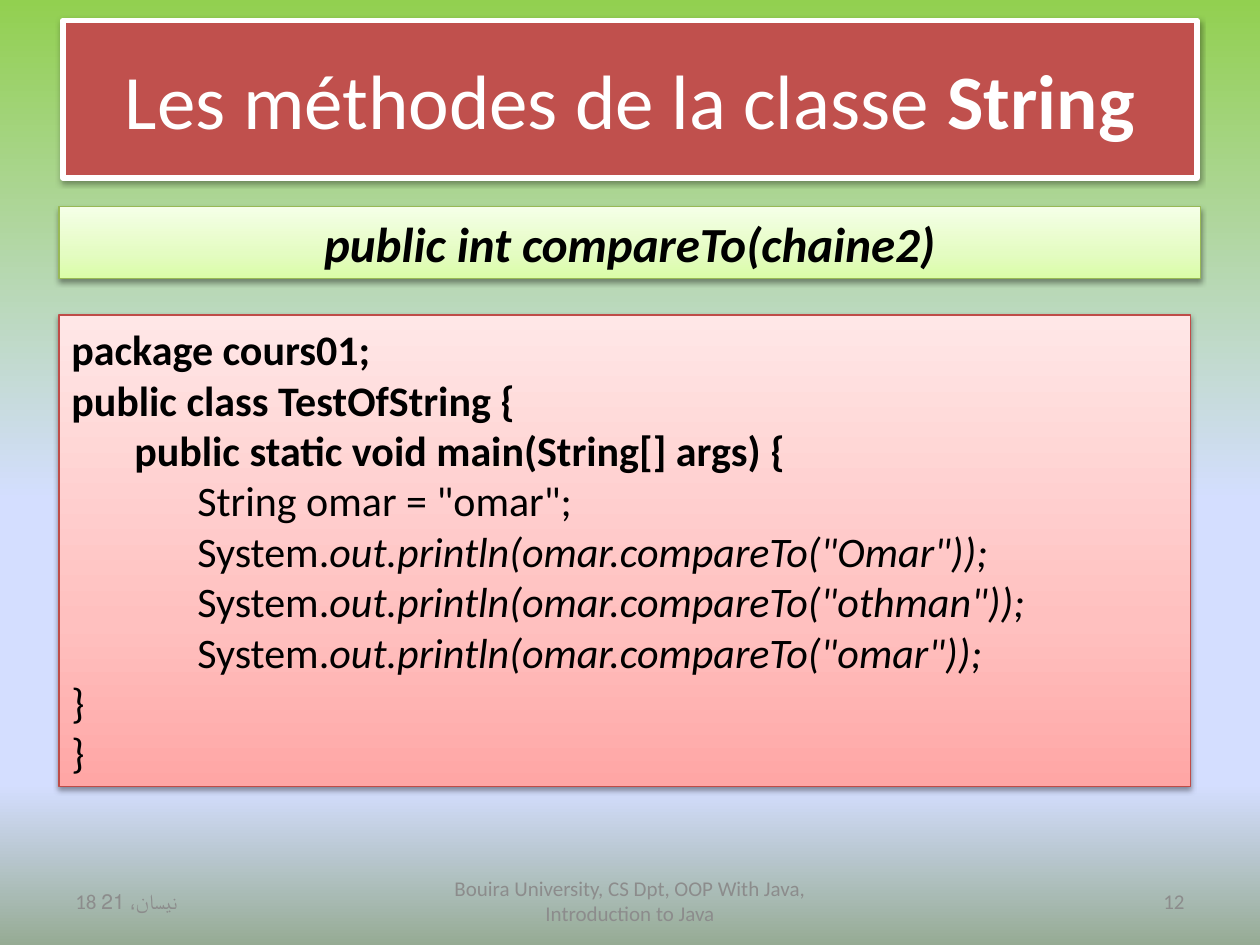
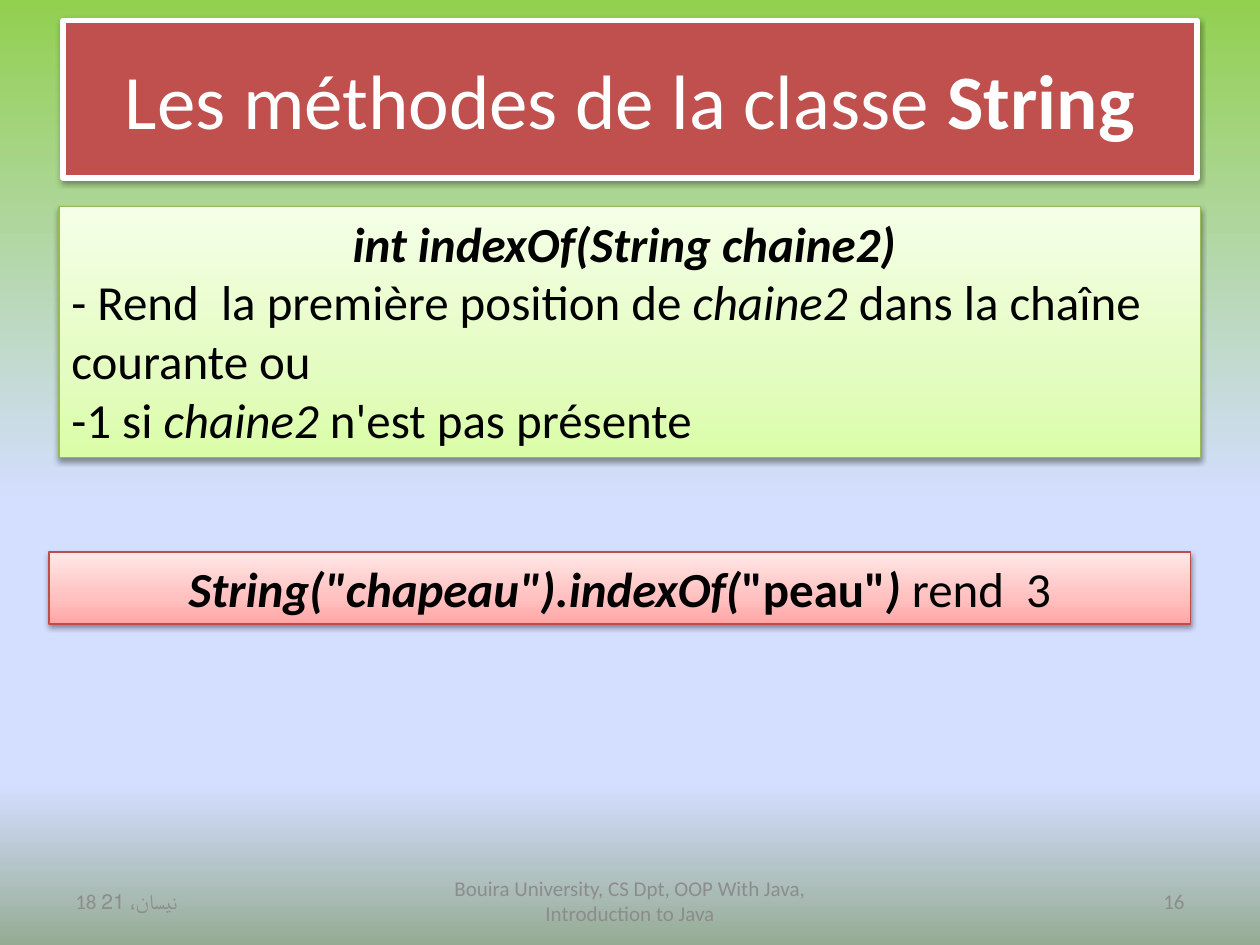
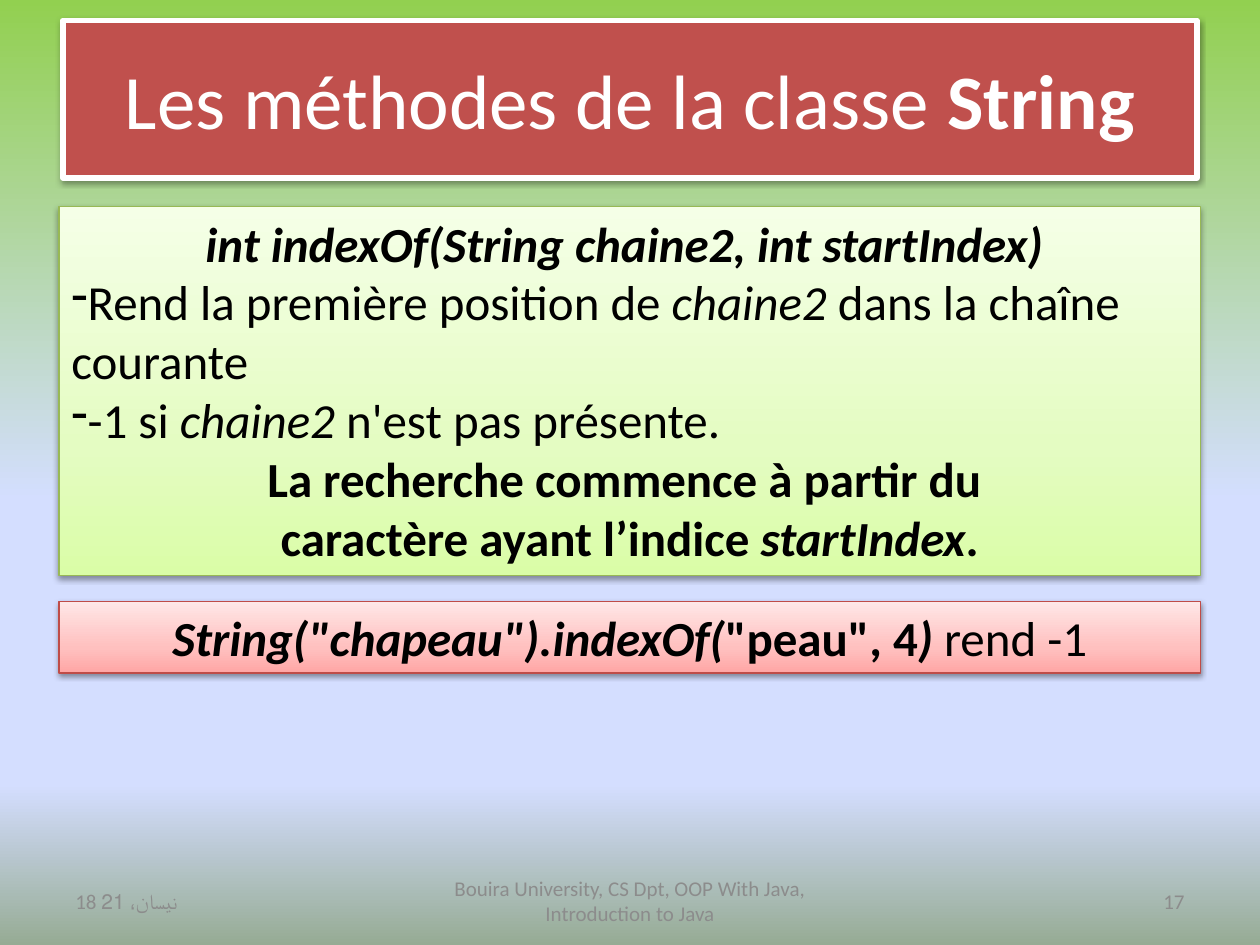
from lxml.etree import SubElement
from pptx import Presentation
from pptx.dml.color import RGBColor as Rgb
from pptx.enum.shapes import MSO_SHAPE as Preset
from pptx.enum.text import MSO_ANCHOR as Anchor, MSO_AUTO_SIZE as AutoSize, PP_ALIGN as Align
from pptx.oxml.ns import qn
from pptx.util import Cm, Pt

COLOURS = {
    "title": "C0504D", "white": "FFFFFF", "black": "000000", "footer": "8C8C8C",
    "green line": "98B955", "red line": "BF4C48",
}
GRADIENTS = {
    "page": [(0, "92D050"), (53, "D4DEFF"), (83, "D4DEFF"), (100, "96AB94")],
    "green": [(0, "DAFDA7"), (35, "E4FCC2"), (100, "F5FFE7")],
    "red": [(0, "FFA6A5"), (35, "FFC0BF"), (100, "FFE7E7")],
}
FONT = "Calibri"
PAGE_WIDTH, PAGE_HEIGHT = 25.4, 19.05
TITLE_BOX = (1.27, 0.41, 22.86, 3.18)
FOOTER_BOX = (1.27, 17.65, 22.86, 1.02)
LEFT, TOP, WIDTH, LINE_HEIGHT = 1.19, 4.17, 23.01, 1.45
DATE = "18 نيسان، 21"
COURSE = "Bouira University, CS Dpt, OOP With Java, Introduction to Java"


def line(*runs, align=Align.LEFT, bullet=None):
    """Describe a paragraph; a run is plain text or (text, style letters)."""
    return [(run, "") if isinstance(run, str) else run for run in runs], align, bullet


def write(shape, paragraphs, size=28, colour="black", anchor=Anchor.TOP, grow=False):
    """Write formatted paragraphs into a shape."""
    frame = shape.text_frame
    frame.word_wrap = True
    frame.vertical_anchor = anchor
    frame.auto_size = AutoSize.SHAPE_TO_FIT_TEXT if grow else AutoSize.NONE
    for index, (runs, align, bullet) in enumerate(paragraphs):
        para = frame.add_paragraph() if index else frame.paragraphs[0]
        para.alignment = align
        if bullet:
            properties = para._p.get_or_add_pPr()
            properties.set("marL", "0")
            properties.set("indent", "0")
            SubElement(properties, qn("a:buFontTx"))
            SubElement(properties, qn("a:buChar"), char=bullet)
        for text, style in runs:
            span = para.add_run()
            span.text = text
            font = span.font
            font.name, font.size = FONT, Pt(size)
            font.bold, font.italic = "b" in style, "i" in style
            font.color.rgb = Rgb.from_string(COLOURS[colour])


def paint_gradient(owner, fill, name, angle):
    """Fill a page or a shape with a named linear gradient, angle clockwise."""
    fill.gradient()
    fill.gradient_angle = 360 - angle
    stops = owner.element.find(".//" + qn("a:gsLst"))
    for stop in list(stops):
        stops.remove(stop)
    for percent, colour in GRADIENTS[name]:
        stop = SubElement(stops, qn("a:gs"), pos=str(percent * 1000))
        SubElement(stop, qn("a:srgbClr"), val=colour)


def add_panel(page, box, line_colour, line_width):
    """Add a rectangle with an outline and a soft shadow below."""
    panel = page.shapes.add_shape(Preset.RECTANGLE, *map(Cm, box))
    panel.line.color.rgb = Rgb.from_string(COLOURS[line_colour])
    panel.line.width = Pt(line_width)
    panel.shadow.inherit = False
    effects = panel.element.spPr.find(qn("a:effectLst"))
    shadow = SubElement(effects, qn("a:outerShdw"), blurRad="40000", dist="20000",
                        dir="5400000", rotWithShape="0")
    colour = SubElement(shadow, qn("a:srgbClr"), val=COLOURS["black"])
    SubElement(colour, qn("a:alpha"), val="38000")
    return panel


def add_title(page, box):
    """Add the title band."""
    band = add_panel(page, box, "white", 3)
    band.fill.solid()
    band.fill.fore_color.rgb = Rgb.from_string(COLOURS["title"])
    title = line("Les méthodes de la classe ", ("String", "b"), align=Align.CENTER)
    write(band, [title], size=44, colour="white", anchor=Anchor.MIDDLE)


def add_card(page, box, tint, paragraphs, **text_format):
    """Add a green or red gradient card with its text."""
    card = add_panel(page, box, f"{tint} line", 0.75)
    paint_gradient(card, card.fill, tint, 270)
    write(card, paragraphs, grow=True, **text_format)


def add_footer(page, box, number):
    """Place course, page number and date along the footer box."""
    left, top, width, height = box
    course_width, side_width = 8.05, 5.92
    parts = [
        (COURSE, left + (width - course_width) / 2, course_width, Align.CENTER),
        (str(number), left + width - side_width, side_width, Align.RIGHT),
        (DATE, left, side_width, Align.LEFT),
    ]
    for text, part_left, part_width, align in parts:
        part = page.shapes.add_textbox(*map(Cm, (part_left, top, part_width, height)))
        write(part, [line(text, align=align)], size=12, colour="footer", anchor=Anchor.MIDDLE)


def add_page(deck, number):
    """Add a page with the shared background, title and footer."""
    page = deck.slides.add_slide(deck.slide_layouts[6])
    paint_gradient(page, page.background.fill, "page", 90)
    add_title(page, TITLE_BOX)
    add_footer(page, FOOTER_BOX, number)
    return page


def signature(text):
    """Describe a centred method signature."""
    return line((text, "bi"), align=Align.CENTER)


def example(arguments, result):
    """Describe a centred call of indexOf and its result."""
    return line(('String("chapeau").indexOf(', "bi"), (arguments, "b"), (") ", "bi"), result,
                align=Align.CENTER)


def add_compare_page(deck):
    """Build the compareTo page."""
    page = add_page(deck, 12)
    add_card(page, (LEFT, TOP, WIDTH, LINE_HEIGHT), "green",
             [signature("public int compareTo(chaine2)")])
    calls = [line("\t\tSystem.", (f'out.println(omar.compareTo("{word}"));', "i"))
             for word in ("Omar", "othman", "omar")]
    code = [
        line(("package cours01;", "b")),
        line(("public class TestOfString {", "b")),
        line(("\tpublic static void main(String[] args) {", "b")),
        line('\t\tString omar = "omar";'),
        *calls,
        line("}"),
        line("}"),
    ]
    add_card(page, (LEFT, 6.35, 22.81, 9.5), "red", code, size=24, anchor=Anchor.MIDDLE)


def add_index_page(deck):
    """Build the indexOf page."""
    page = add_page(deck, 16)
    add_card(page, (LEFT, TOP, WIDTH, 5.05), "green", [
        signature("int indexOf(String chaine2) "),
        line("- Rend  la première position de ", ("chaine2 ", "i"), "dans la chaîne courante ou"),
        line("-1 si ", ("chaine2 ", "i"), "n'est pas présente"),
    ])
    add_card(page, (0.99, 11.13, WIDTH, LINE_HEIGHT), "red", [example('"peau"', "rend  3")])


def add_start_index_page(deck):
    """Build the page on indexOf with a start index."""
    page = add_page(deck, 17)
    add_card(page, (LEFT, TOP, WIDTH, 7.44), "green", [
        signature("int indexOf(String chaine2, int startIndex) "),
        line("Rend la première position de ", ("chaine2 ", "i"), "dans la chaîne courante",
             bullet="-"),
        line("-1 si ", ("chaine2 ", "i"), "n'est pas présente.", bullet="-"),
        line(("La recherche commence à partir du ", "b"), align=Align.CENTER),
        line(("caractère ayant l’indice ", "b"), ("startIndex", "bi"), (".", "b"),
             align=Align.CENTER),
    ])
    add_card(page, (LEFT, 12.12, WIDTH, LINE_HEIGHT), "red", [example('"peau", 4', "rend -1")])


def main():
    """Build and save the deck."""
    deck = Presentation()
    deck.slide_width, deck.slide_height = Cm(PAGE_WIDTH), Cm(PAGE_HEIGHT)
    add_compare_page(deck)
    add_index_page(deck)
    add_start_index_page(deck)
    deck.save("out.pptx")


if __name__ == "__main__":
    main()
